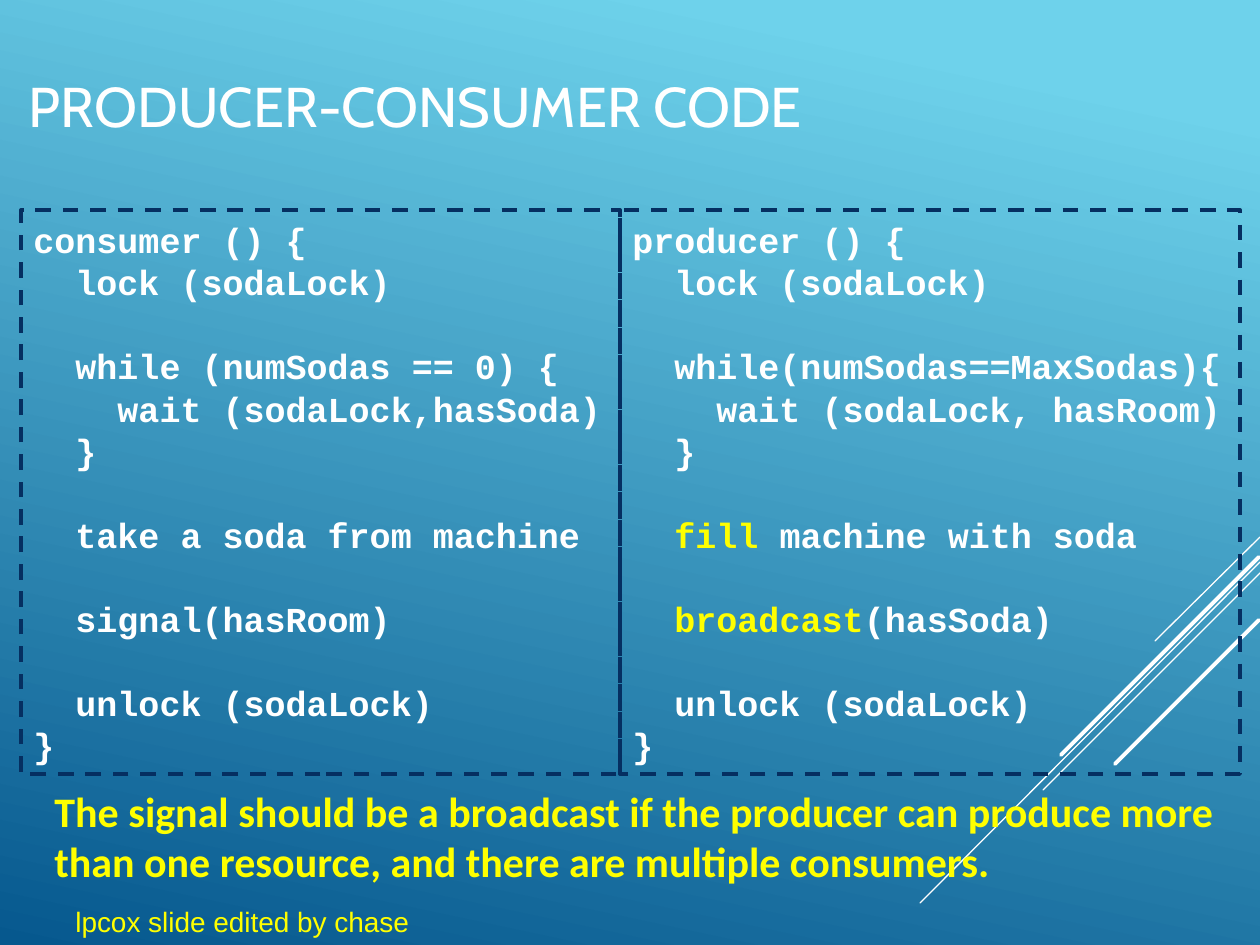
from lxml.etree import SubElement
from pptx import Presentation
from pptx.dml.color import RGBColor
from pptx.enum.dml import MSO_LINE
from pptx.enum.shapes import MSO_CONNECTOR, MSO_SHAPE
from pptx.enum.text import MSO_ANCHOR, PP_ALIGN
from pptx.oxml.ns import qn
from pptx.util import Pt

COLORS = {"white": "FFFFFF", "yellow": "FFFF00", "navy": "052F61",
          "sky": "6ED2EB", "deep": "06588E"}
TITLE = "PRODUCER-CONSUMER CODE"
CONSUMER = """consumer () {
  lock (sodaLock)

  while (numSodas == 0) {
    wait (sodaLock,hasSoda)
  }

  take a soda from machine

  signal(hasRoom)

  unlock (sodaLock)
}"""
PRODUCER = """producer () {
  lock (sodaLock)

  while(numSodas==MaxSodas){
    wait (sodaLock, hasRoom)
  }

  fill machine with soda

  broadcast(hasSoda)

  unlock (sodaLock)
}"""
PANELS = [(620, 620, PRODUCER), (21, 599, CONSUMER)]
PANEL_TOP, PANEL_HEIGHT, CODE_LEADING = 210, 564, 24
HIGHLIGHTS = ["fill", "broadcast"]
NOTES = [
    ((42, 779, 1187, 115), "The signal should be a broadcast if the producer can produce more "
     "than one resource, and there are multiple consumers.", "Calibri", 24, True, True),
    ((63, 898, 363, 47), "lpcox slide edited by chase", "Arial", 16, False, False),
]
DIAGONALS = [
    (1260, 537, 1155, 641, 0.75), (1260, 562, 920, 903, 0.75),
    (1260, 573, 1043, 790, 0.75), (1259, 557, 1061, 755, 2.25),
    (1259, 620, 1115, 764, 2.25),
]


def px(*values):
    return [round(v * 914400 / 126) for v in values]


def rgb(name):
    return RGBColor.from_string(COLORS[name])


def set_font(font, name, size, color, bold=False):
    font.name, font.size, font.bold = name, Pt(size), bold
    font.color.rgb = rgb(color)


def split_highlight(line):
    for word in HIGHLIGHTS:
        if word in line:
            before, after = line.split(word)
            return [(before, "white"), (word, "yellow"), (after, "white")]
    return [(line, "white")]


def add_code(tf, code):
    p, gap = tf.paragraphs[0], 0
    for i, line in enumerate(code.split("\n")):
        if not line:
            gap += CODE_LEADING
            continue
        if i:
            p = tf.add_paragraph()
        p.alignment = PP_ALIGN.LEFT
        p.line_spacing = Pt(CODE_LEADING)
        p.space_before, gap = Pt(gap), 0
        set_font(p.font, "Courier New", 20, "white", True)
        for text, color in split_highlight(line):
            r = p.add_run()
            r.text = text
            r.font.color.rgb = rgb(color)


prs = Presentation()
prs.slide_width, prs.slide_height = px(1260, 945)
s = prs.slides.add_slide(prs.slide_layouts[5])

fill = s.background.fill
fill.gradient()
fill.gradient_angle = 360 - 102
for stop, (position, color) in zip(fill.gradient_stops, [(0.1, "sky"), (1, "deep")]):
    stop.position = position
    stop.color.rgb = rgb(color)

for x1, y1, x2, y2, width in DIAGONALS:
    line = s.shapes.add_connector(MSO_CONNECTOR.STRAIGHT, *px(x1, y1, x2, y2))
    line.line.color.rgb = rgb("white")
    line.line.width = Pt(width)
    line.line._get_or_add_ln().set("cap", "rnd")
    SubElement(line._element.spPr, qn("a:effectLst"))

title = s.shapes.title
title.left, title.top, title.width, title.height = px(16, 0, 903, 210)
title.text_frame.text = TITLE
title.text_frame.vertical_anchor = MSO_ANCHOR.MIDDLE
p = title.text_frame.paragraphs[0]
p.alignment = PP_ALIGN.LEFT
set_font(p.font, "Cabin", 32, "white")

for left, width, code in PANELS:
    sp = s.shapes.add_shape(MSO_SHAPE.RECTANGLE, *px(left, PANEL_TOP, width, PANEL_HEIGHT))
    sp.shadow.inherit = False
    sp.fill.background()
    sp.line.color.rgb = rgb("navy")
    sp.line.width = Pt(2.25)
    sp.line.dash_style = MSO_LINE.DASH
    tf = sp.text_frame
    tf.word_wrap = True
    tf.vertical_anchor = MSO_ANCHOR.TOP
    tf.margin_top, = px(9)
    add_code(tf, code)

for box, text, font, size, bold, wrap in NOTES:
    tf = s.shapes.add_textbox(*px(*box)).text_frame
    tf.word_wrap = wrap
    tf.text = text
    set_font(tf.paragraphs[0].font, font, size, "yellow", bold)

prs.save("out.pptx")
